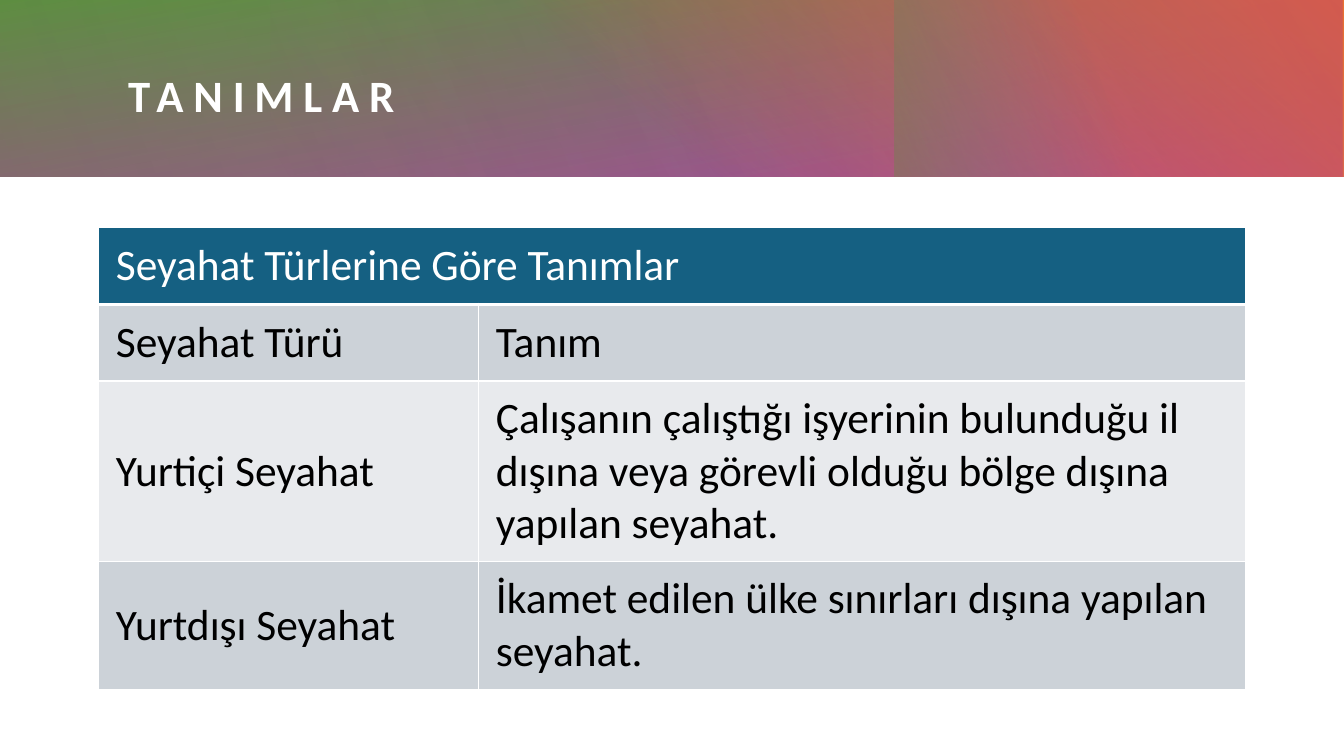
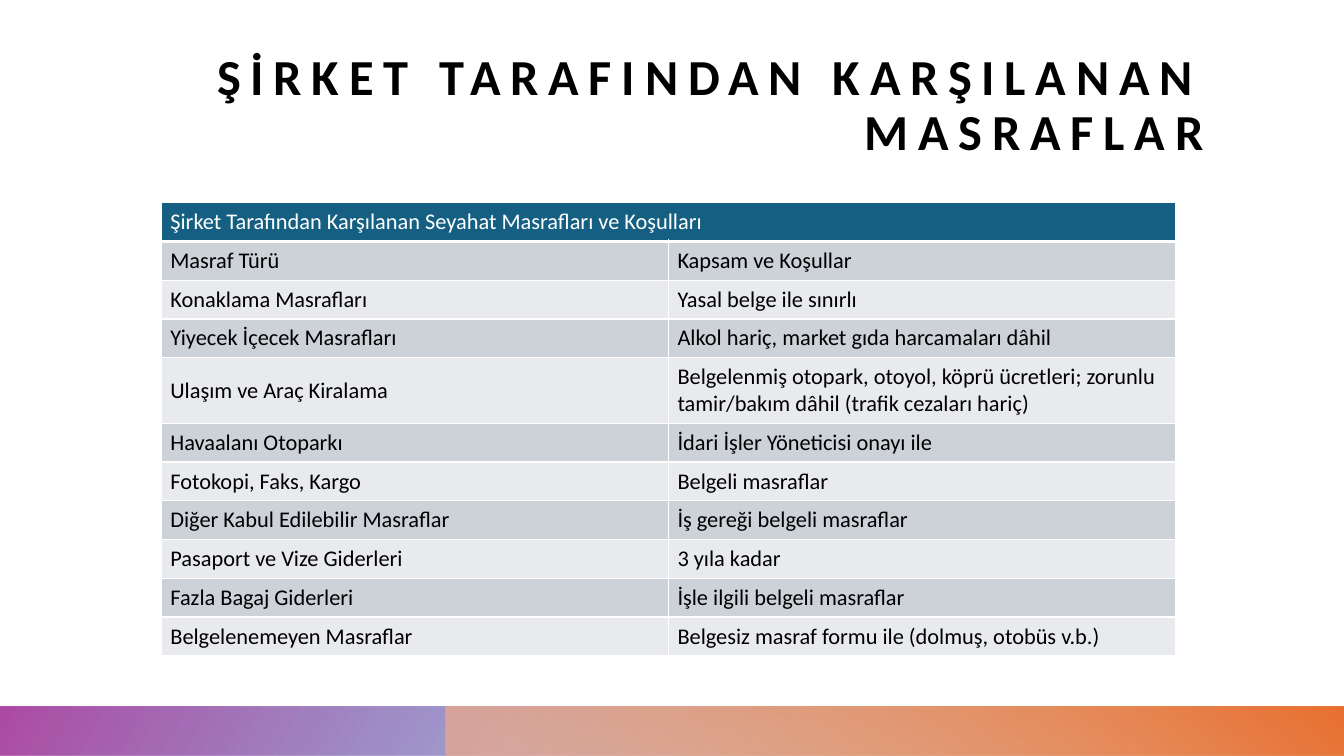
from lxml.etree import SubElement
from pptx import Presentation
from pptx.dml.color import RGBColor
from pptx.enum.shapes import MSO_SHAPE
from pptx.enum.text import MSO_ANCHOR, PP_ALIGN
from pptx.oxml import parse_xml
from pptx.oxml.ns import nsdecls, qn
from pptx.util import Inches, Pt

WHITE = RGBColor(0xFF, 0xFF, 0xFF)
BLACK = RGBColor(0, 0, 0)
TEAL = RGBColor(0x15, 0x60, 0x82)
DARK = RGBColor(0xCC, 0xD2, 0xD8)
LIGHT = RGBColor(0xE8, 0xEA, 0xED)
PURPLE = RGBColor(0xA0, 0x2B, 0x93)
GREEN = RGBColor(0x4E, 0xA7, 0x2E)
ORANGE = RGBColor(0xE9, 0x71, 0x32)
PEACH = RGBColor(0xF2, 0xAA, 0x84)
BLUE = RGBColor(0x0F, 0x9E, 0xD5)
FONT = "Calibri"
WIDTH, HEIGHT = 13.33, 7.5
TOP_H, FOOT_H = 1.75, 0.49

# left, width, clockwise angle, then (position %, colour, opacity %) stops
TOP_BANDS = [
    (0, WIDTH, 260, (0, PURPLE, 83), (100, GREEN, 100)),
    (4.81, 8.52, 310, (22, ORANGE, 0), (99, ORANGE, 100)),
    (8.87, 3.74, 160, (45, BLUE, 0), (99, GREEN, 33)),
    (2.68, 10.64, 150, (0, PURPLE, 30), (99, PURPLE, 0)),
    (0, 8.65, 340, (0, PURPLE, 21), (99, PURPLE, 0)),
]
FOOT_BANDS = [
    (0, WIDTH, 210, (14, BLUE, 28), (100, PURPLE, 85)),
    (4.42, 8.91, 310, (9, PEACH, 68), (99, ORANGE, 100)),
]

TRIPS = [
    ("Seyahat Türlerine Göre Tanımlar", ""),
    ("Seyahat Türü", "Tanım"),
    ("Yurtiçi Seyahat",
     "Çalışanın çalıştığı işyerinin bulunduğu il dışına veya görevli "
     "olduğu bölge dışına yapılan seyahat."),
    ("Yurtdışı Seyahat",
     "İkamet edilen ülke sınırları dışına yapılan seyahat."),
]
COSTS = [
    ("Şirket Tarafından Karşılanan Seyahat Masrafları ve Koşulları", ""),
    ("Masraf Türü", "Kapsam ve Koşullar"),
    ("Konaklama Masrafları", "Yasal belge ile sınırlı"),
    ("Yiyecek İçecek Masrafları", "Alkol hariç, market gıda harcamaları dâhil"),
    ("Ulaşım ve Araç Kiralama",
     "Belgelenmiş otopark, otoyol, köprü ücretleri; zorunlu tamir/bakım "
     "dâhil (trafik cezaları hariç)"),
    ("Havaalanı Otoparkı", "İdari İşler Yöneticisi onayı ile"),
    ("Fotokopi, Faks, Kargo", "Belgeli masraflar"),
    ("Diğer Kabul Edilebilir Masraflar", "İş gereği belgeli masraflar"),
    ("Pasaport ve Vize Giderleri", "3 yıla kadar"),
    ("Fazla Bagaj Giderleri", "İşle ilgili belgeli masraflar"),
    ("Belgelenemeyen Masraflar",
     "Belgesiz masraf formu ile (dolmuş, otobüs v.b.)"),
]


def write(frame, text, size, color=BLACK, bold=False, track=0,
          align=PP_ALIGN.LEFT, lead=None):
    """Fill a text frame; track is letter spacing in points."""
    frame.word_wrap = True
    para = frame.paragraphs[0]
    para.alignment = align
    if lead:
        para.line_spacing = lead
    run = para.add_run()
    run.text = text
    font = run.font
    font.name, font.size, font.bold = FONT, Pt(size), bold
    font.color.rgb = color
    if track:
        run._r.get_or_add_rPr().set("spc", str(track * 100))


def add_title(slide, text, box, anchor, **style):
    frame = slide.shapes.add_textbox(*map(Inches, box)).text_frame
    frame.margin_left = frame.margin_right = 0
    frame.margin_top = frame.margin_bottom = 0
    frame.vertical_anchor = anchor
    write(frame, text, bold=True, track=7, **style)


def add_bands(slide, bands, top, height):
    for left, width, angle, *stops in bands:
        band = slide.shapes.add_shape(
            MSO_SHAPE.RECTANGLE, Inches(left), Inches(top),
            Inches(width), Inches(height))
        band.shadow.inherit = False
        band.line.fill.background()
        band.fill.gradient()
        band.fill.gradient_angle = 360 - angle
        for stop, (place, color, _) in zip(band.fill.gradient_stops, stops):
            stop.position = place / 100
            stop.color.rgb = color
        tints = band.element.spPr.iter(qn("a:srgbClr"))
        for tint, (_, _, alpha) in zip(tints, stops):
            SubElement(tint, qn("a:alpha")).set("val", str(alpha * 1000))


def set_edges(cell, base):
    """Draw white borders, with the bottom one base points wide."""
    props = cell._tc.get_or_add_tcPr()
    for spot, (side, width) in enumerate(
            (("L", 1), ("R", 1), ("T", 1), ("B", base))):
        props.insert(spot, parse_xml(
            f'<a:ln{side} {nsdecls("a")} w="{Pt(width)}"><a:solidFill>'
            f'<a:srgbClr val="{WHITE}"/></a:solidFill></a:ln{side}>'))


def add_grid(slide, rows, spot, cols, heights, size, pad):
    """Add a two-column table under a merged header; pad is (side, top)."""
    box = (*spot, sum(cols), sum(heights))
    table = slide.shapes.add_table(
        len(rows), len(cols), *map(Inches, box)).table
    table.first_row = table.horz_banding = False
    for col, width in zip(table.columns, cols):
        col.width = Inches(width)
    for row, height in zip(table.rows, heights):
        row.height = Inches(height)
    table.cell(0, 0).merge(table.cell(0, 1))
    for r, texts in enumerate(rows):
        head = r == 0
        for c, text in enumerate(texts):
            cell = table.cell(r, c)
            cell.margin_left = cell.margin_right = Inches(pad[0])
            cell.margin_top = cell.margin_bottom = Inches(pad[1])
            cell.vertical_anchor = MSO_ANCHOR.MIDDLE
            cell.fill.solid()
            cell.fill.fore_color.rgb = (
                TEAL if head else DARK if r % 2 else LIGHT)
            set_edges(cell, 3 if head else 1)
            if text:
                write(cell.text_frame, text, size, WHITE if head else BLACK)


def add_terms(slide):
    add_bands(slide, TOP_BANDS, 0, TOP_H)
    add_title(slide, "TANIMLAR", (1.27, 0.41, 11.35, 1.06),
              MSO_ANCHOR.MIDDLE, size=32, color=WHITE)
    add_grid(slide, TRIPS, (0.98, 2.26), (3.77, 7.6),
             (0.76, 0.76, 1.79, 1.27), 31, (0.17, 0.09))


def add_costs(slide):
    add_title(slide, "ŞİRKET TARAFINDAN KARŞILANAN MASRAFLAR",
              (1.5, 0.5, 10.44, 1.1), MSO_ANCHOR.BOTTOM,
              size=36, align=PP_ALIGN.RIGHT, lead=0.9)
    add_bands(slide, FOOT_BANDS, HEIGHT - FOOT_H, FOOT_H)
    heights = [0.65 if r == 4 else 0.385 for r in range(len(COSTS))]
    add_grid(slide, COSTS, (1.6, 2.01), (5.03, 5.03), heights,
             16, (0.09, 0.04))


def main():
    deck = Presentation()
    deck.slide_width, deck.slide_height = Inches(WIDTH), Inches(HEIGHT)
    for build in (add_terms, add_costs):
        build(deck.slides.add_slide(deck.slide_layouts[6]))
    deck.save("out.pptx")


if __name__ == "__main__":
    main()
